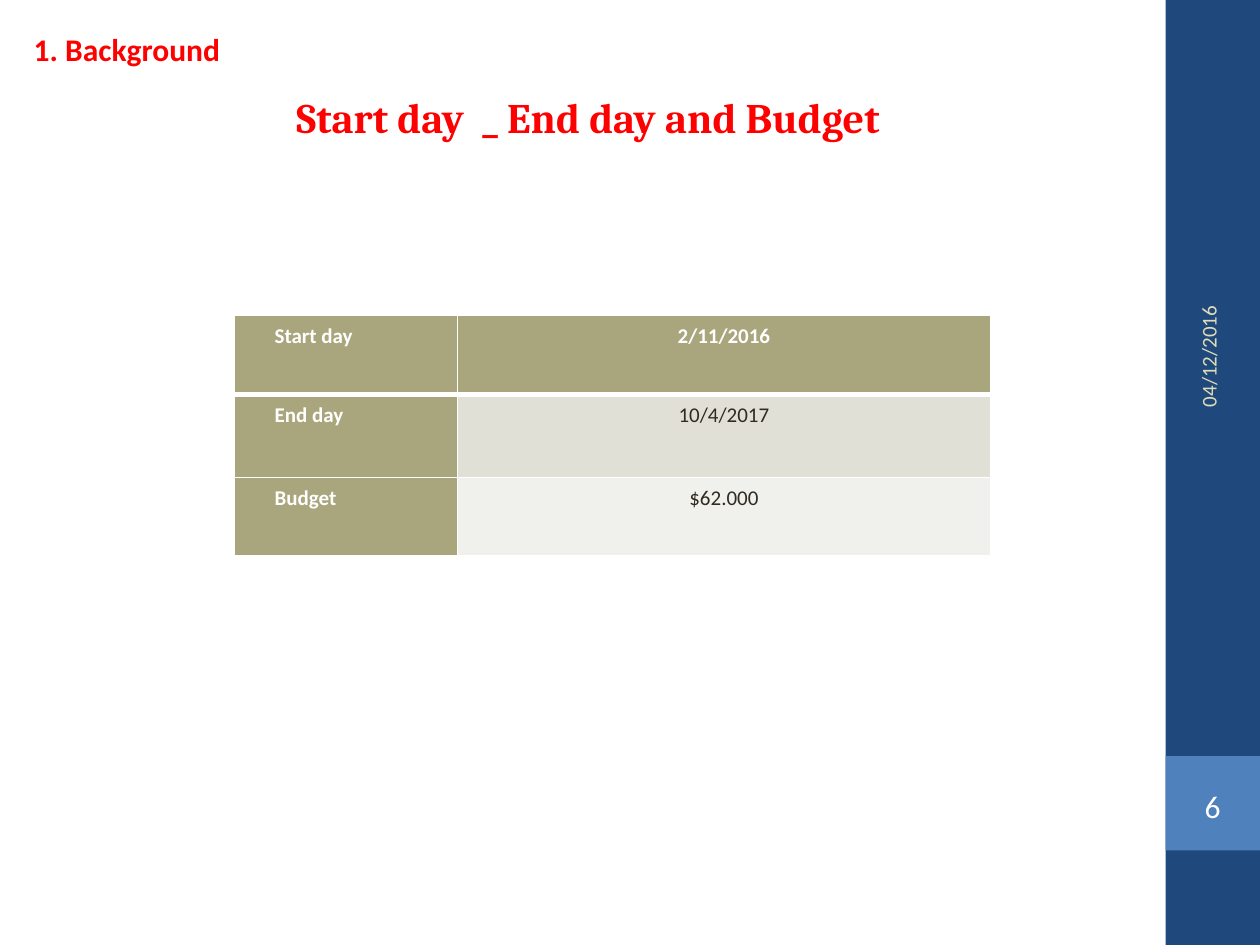
import dataclasses
import pptx
import pptx.dml.color
import pptx.enum.shapes
import pptx.enum.text
import pptx.oxml.ns
import pptx.util
from lxml import etree

Pt = pptx.util.Pt
Align = pptx.enum.text.PP_ALIGN
Anchor = pptx.enum.text.MSO_ANCHOR


@dataclasses.dataclass(frozen=True)
class Theme:
    navy: str = "1F497D"
    blue: str = "4F81BD"
    red: str = "FF0000"
    white: str = "FFFFFF"
    cream: str = "DFDCB7"
    olive: str = "A9A57C"
    dark: str = "2F2B20"
    bands: tuple = ("E1E0D7", "F0F0EC")
    body: str = "Calibri"
    serif: str = "Cambria"
    small: int = 12
    large: int = 18
    title: int = 24
    thin: float = 0.96
    thick: float = 3


THEME = Theme()


def tint(name):
    return pptx.dml.color.RGBColor.from_string(name)


def write(frame, text, size, color, bold=False, font=THEME.body, align=Align.LEFT):
    para = frame.paragraphs[0]
    para.alignment = align
    run = para.add_run()
    run.text = text
    run.font.name = font
    run.font.size = Pt(size)
    run.font.bold = bold
    run.font.color.rgb = tint(color)
    return para


def label(slide, box, text, size, color, pad=(7.2, 3.6), wrap=True,
          anchor=Anchor.MIDDLE, turn=0, **style):
    shape = slide.shapes.add_textbox(*map(Pt, box))
    shape.rotation = turn
    frame = shape.text_frame
    frame.word_wrap = wrap
    frame.vertical_anchor = anchor
    frame.margin_left = frame.margin_right = Pt(pad[0])
    frame.margin_top = frame.margin_bottom = Pt(pad[1])
    write(frame, text, size, color, **style)


def block(slide, box, color):
    shape = slide.shapes.add_shape(
        pptx.enum.shapes.MSO_SHAPE.RECTANGLE, *map(Pt, box))
    shape.shadow.inherit = False
    shape.fill.solid()
    shape.fill.fore_color.rgb = tint(color)
    shape.line.fill.background()


def edge(cell, side, width):
    props = cell._tc.get_or_add_tcPr()
    line = etree.SubElement(
        props, pptx.oxml.ns.qn("a:ln" + side), w=str(int(Pt(width))))
    fill = etree.SubElement(line, pptx.oxml.ns.qn("a:solidFill"))
    etree.SubElement(fill, pptx.oxml.ns.qn("a:srgbClr"), val=THEME.white)


def sidebar(slide, box, date, page):
    left, top, width, height = box
    block(slide, box, THEME.navy)
    block(slide, (left, top + 432, width, width), THEME.blue)
    label(slide, (left + 5.4, top + 445, width - 10.8, 31), page, THEME.large,
          THEME.white, pad=(0, 0), align=Align.CENTER)
    label(slide, (left - 71.3, top + 129.6, 191.5, 28.8), date, THEME.small,
          THEME.cream, turn=270)


def heading(slide, box, topic, title):
    left, top, width, height = box
    label(slide, (left, top, 121, 28.8), topic, THEME.large, THEME.red,
          wrap=False, anchor=Anchor.TOP, bold=True)
    label(slide, (left + 23.8, top + 7.9, width - 23.8, height - 7.9), title,
          THEME.title, THEME.red, bold=True, font=THEME.serif, align=Align.CENTER)


def fill_cell(cell, text, row, col):
    head = row == 0 or col == 0
    cell.margin_left = cell.margin_right = Pt(5)
    cell.margin_top = cell.margin_bottom = Pt(3.6)
    for side in "LRTB":
        heavy = (row, side) in ((0, "B"), (1, "T"))
        edge(cell, side, THEME.thick if heavy else THEME.thin)
    cell.fill.solid()
    cell.fill.fore_color.rgb = tint(THEME.olive if head else THEME.bands[row - 1])
    para = write(cell.text_frame, text, THEME.small,
                 THEME.white if head else THEME.dark, bold=head,
                 align=Align.CENTER if col else Align.LEFT)
    para.line_spacing = 1.07
    if col == 0:
        props = para._p.get_or_add_pPr()
        props.set("marL", str(int(Pt(18))))
        props.set("indent", "0")


def schedule(slide, box, rows, widths, heights):
    grid = slide.shapes.add_table(len(rows), len(widths), *map(Pt, box)).table
    for col, width in zip(grid.columns, widths):
        col.width = Pt(width)
    for row, height in zip(grid.rows, heights):
        row.height = Pt(height)
    for i, row in enumerate(rows):
        for j, text in enumerate(row):
            fill_cell(grid.cell(i, j), text, i, j)


def main():
    deck = pptx.Presentation()
    deck.slide_width, deck.slide_height = Pt(720), Pt(540)
    slide = deck.slides.add_slide(deck.slide_layouts[6])
    sidebar(slide, (666, 0, 54, 540), "04/12/2016", "6")
    heading(slide, (12.2, 13.7, 623.8, 97.9), "1. Background",
            "Start day  _ End day and Budget")
    rows = (("Start day", "2/11/2016"), ("End day", "10/4/2017"),
            ("Budget", "$62.000"))
    schedule(slide, (134, 180, 432, 137.4), rows, (127.4, 304.6),
             (45.3, 47.5, 44.6))
    deck.save("out.pptx")


if __name__ == "__main__":
    main()
